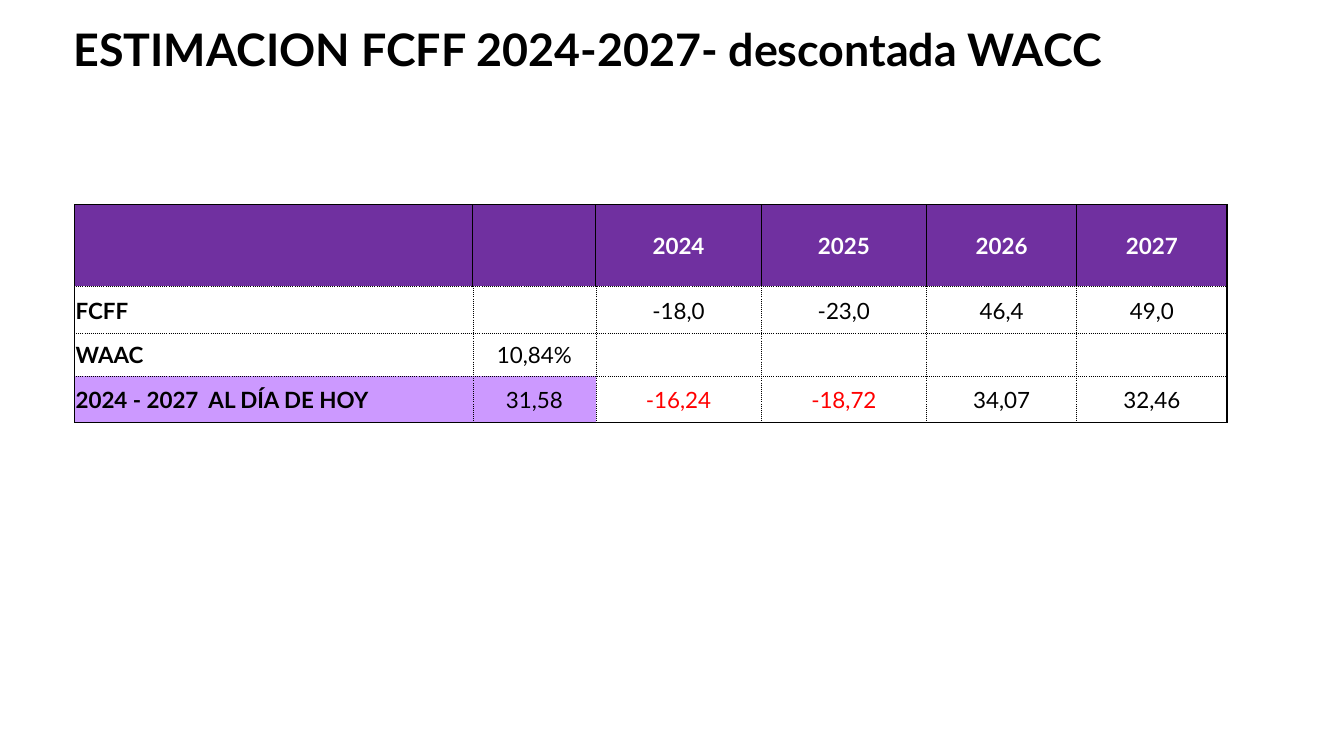
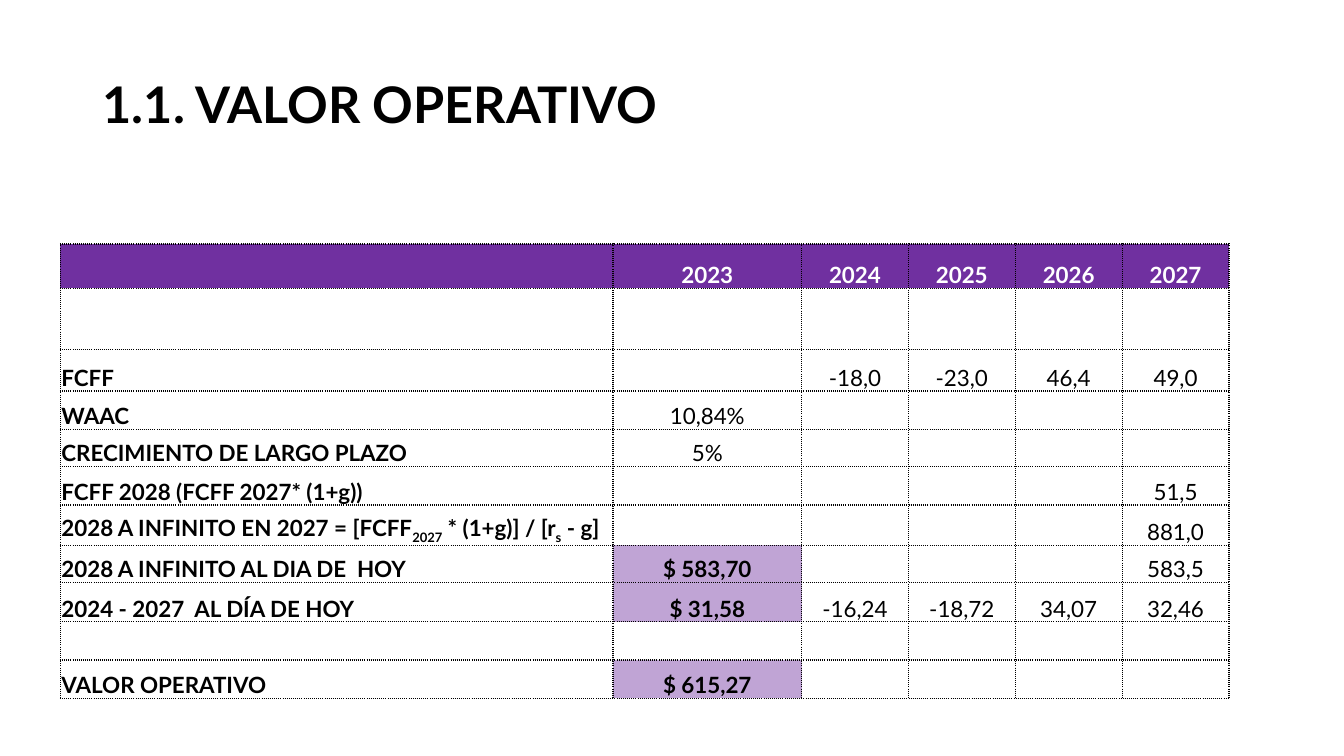
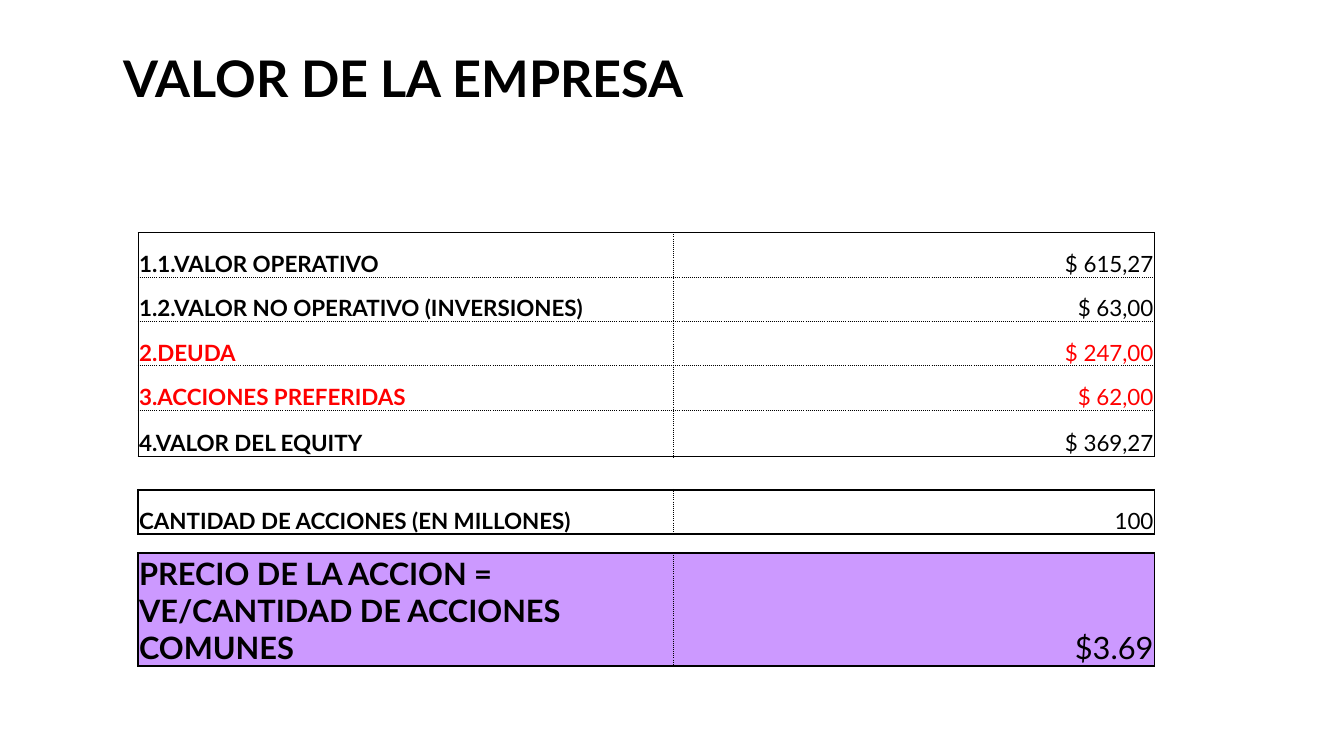
from dataclasses import dataclass, field

import lxml.etree
import pptx
import pptx.dml.color
import pptx.enum.text
import pptx.oxml.ns
import pptx.table
import pptx.text.text
import pptx.util
from pptx.util import Inches

RGBColor = pptx.dml.color.RGBColor
Align = pptx.enum.text.PP_ALIGN
Anchor = pptx.enum.text.MSO_ANCHOR
qn = pptx.oxml.ns.qn

FONT = "Lato"
BLACK = RGBColor(0x00, 0x00, 0x00)
WHITE = RGBColor(0xFF, 0xFF, 0xFF)
RED = RGBColor(0xFF, 0x00, 0x00)
PURPLE = RGBColor(0x70, 0x30, 0xA0)
PALE_PURPLE = RGBColor(0xC0, 0xA4, 0xD5)
LILAC = RGBColor(0xCC, 0x99, 0xFF)
BOLD_FILLS = (PURPLE, PALE_PURPLE)


@dataclass(frozen=True)
class Line:
    width: float
    dash: str = "solid"


THIN = Line(1)
THICK = Line(1.5)
DOTTED = Line(0.5, "dot")
FINE_DOTTED = Line(1, "sysDot")


@dataclass(frozen=True)
class Title:
    text: str
    left: float
    top: float
    height: float
    size: float = 36


@dataclass(frozen=True)
class Grid:
    """A table; fills and inks are keyed by (row, column)."""
    left: float
    top: float
    cols: tuple[float, ...]
    heights: tuple[float, ...]
    rows: tuple[tuple[str, ...], ...]
    outline: Line
    inner: Line = DOTTED
    header: bool = False
    anchor: Anchor = Anchor.BOTTOM
    align: Align = Align.CENTER
    size: float = 16
    fills: dict[tuple[int, int], RGBColor] = field(default_factory=dict)
    inks: dict[tuple[int, int], RGBColor] = field(default_factory=dict)


@dataclass(frozen=True)
class Page:
    title: Title
    grids: tuple[Grid, ...]


def write(tf: pptx.text.text.TextFrame, text: str, *, size: float, bold: bool = False,
          colour: RGBColor = BLACK, align: Align = Align.LEFT,
          spacing: float = 1.0) -> None:
    """Write one paragraph per line; text between underscores is subscript."""
    for i, line in enumerate(text.split("\n")):
        p = tf.paragraphs[0] if i == 0 else tf.add_paragraph()
        p.alignment = align
        p.line_spacing = spacing
        for j, piece in enumerate(line.split("_")):
            r = p.add_run()
            r.text = piece
            r.font.name = FONT
            r.font.size = pptx.util.Pt(size)
            r.font.bold = bold
            r.font.color.rgb = colour
            if j % 2:
                r._r.get_or_add_rPr().set("baseline", "-25000")


def add_title(s: pptx.slide.Slide, title: Title) -> None:
    sp = s.shapes.add_textbox(Inches(title.left), Inches(title.top),
                              Inches(11.5), Inches(title.height))
    tf = sp.text_frame
    tf.word_wrap = True
    tf.vertical_anchor = Anchor.MIDDLE
    write(tf, title.text, size=title.size, bold=True, spacing=0.9)


def set_border(cell: pptx.table._Cell, side: str, line: Line) -> None:
    ln = lxml.etree.SubElement(cell._tc.get_or_add_tcPr(), qn(f"a:ln{side}"),
                               w=str(pptx.util.Pt(line.width)))
    fill = lxml.etree.SubElement(ln, qn("a:solidFill"))
    lxml.etree.SubElement(fill, qn("a:srgbClr"), val=str(BLACK))
    lxml.etree.SubElement(ln, qn("a:prstDash"), val=line.dash)


def add_grid(s: pptx.slide.Slide, grid: Grid) -> None:
    n_rows, n_cols = len(grid.heights), len(grid.cols)
    table = s.shapes.add_table(n_rows, n_cols, Inches(grid.left), Inches(grid.top),
                               Inches(sum(grid.cols)), Inches(sum(grid.heights))).table
    table.first_row = table.horz_banding = False
    for column, width in zip(table.columns, grid.cols):
        column.width = Inches(width)
    for row, height in zip(table.rows, grid.heights):
        row.height = Inches(height)

    for r, texts in enumerate(grid.rows):
        for c, text in enumerate(texts):
            cell = table.cell(r, c)
            is_header = grid.header and r == 0
            on_edge = {"L": c == 0, "R": c == n_cols - 1,
                       "T": r == 0, "B": r == n_rows - 1}
            for side, edge in on_edge.items():
                solid = edge or (is_header and side in "LR")
                set_border(cell, side, grid.outline if solid else grid.inner)

            fill = PURPLE if is_header else grid.fills.get((r, c), WHITE)
            cell.fill.solid()
            cell.fill.fore_color.rgb = fill
            cell.margin_left = cell.margin_right = cell.margin_top = Inches(0.01)
            cell.margin_bottom = 0
            cell.vertical_anchor = grid.anchor
            write(cell.text_frame, text, size=grid.size,
                  bold=c == 0 or fill in BOLD_FILLS,
                  colour=WHITE if is_header else grid.inks.get((r, c), BLACK),
                  align=Align.LEFT if c == 0 else grid.align)


YEARS = ("2024", "2025", "2026", "2027")
FLOWS = ("-18,0", "-23,0", "46,4", "49,0")
DISCOUNTED = ("-16,24", "-18,72", "34,07", "32,46")
TO_TODAY = "2024 - 2027  AL DÍA DE HOY"
BLANKS = ("",) * 4
EQUITY = dict(left=1.37, cols=(5.31, 4.77), align=Align.RIGHT)

PAGES = (
    Page(
        Title("ESTIMACION FCFF 2024-2027- descontada WACC", 0.63, 0.24, 0.56, 32),
        (Grid(
            left=0.74, top=2.03, outline=THIN, header=True, anchor=Anchor.MIDDLE,
            cols=(3.95, 1.22, 1.64, 1.64, 1.49, 1.49),
            heights=(0.81, 0.47, 0.42, 0.46),
            rows=(("", "", *YEARS),
                  ("FCFF", "", *FLOWS),
                  ("WAAC", "10,84%", *BLANKS),
                  (TO_TODAY, "31,58", *DISCOUNTED)),
            fills={(3, c): LILAC for c in (0, 1)},
            inks={(3, c): RED for c in (2, 3)}),),
    ),
    Page(
        Title("1.1. VALOR OPERATIVO", 0.92, 0.34, 1.45),
        (Grid(
            left=0.6, top=2.42, outline=FINE_DOTTED, inner=FINE_DOTTED, header=True,
            cols=(5.48, 1.87) + (1.06,) * 4,
            heights=(0.44, 0.61, 0.41, 0.38, 0.37, 0.38, 0.4, 0.37, 0.39, 0.38, 0.38),
            rows=(("", "2023", *YEARS),
                  ("", "", *BLANKS),
                  ("FCFF", "", *FLOWS),
                  ("WAAC", "10,84%", *BLANKS),
                  ("CRECIMIENTO DE LARGO PLAZO", "5%", *BLANKS),
                  ("FCFF 2028 (FCFF 2027* (1+g))", "", "", "", "", "51,5"),
                  ("2028 A INFINITO EN 2027 = [FCFF_2027_ * (1+g)] / [r_s_ - g]",
                   "", "", "", "", "881,0"),
                  ("2028 A INFINITO AL DIA DE  HOY", "$ 583,70", "", "", "", "583,5"),
                  (TO_TODAY, "$ 31,58", *DISCOUNTED),
                  ("", "", *BLANKS),
                  ("VALOR OPERATIVO", "$ 615,27", *BLANKS)),
            fills={(r, 1): PALE_PURPLE for r in (7, 8, 10)}),),
    ),
    Page(
        Title("VALOR DE LA EMPRESA", 1.13, 0.46, 0.7),
        (Grid(
            **EQUITY, top=2.31, outline=THIN, heights=(0.44,) * 4 + (0.46,),
            rows=(("1.1.VALOR OPERATIVO", "$ 615,27"),
                  ("1.2.VALOR NO OPERATIVO (INVERSIONES)", "$ 63,00"),
                  ("2.DEUDA", "$ 247,00"),
                  ("3.ACCIONES PREFERIDAS", "$ 62,00"),
                  ("4.VALOR DEL EQUITY", "$ 369,27")),
            inks={(r, c): RED for r in (2, 3) for c in (0, 1)}),
         Grid(
            **EQUITY, top=4.86, outline=THICK, heights=(0.44,),
            rows=(("CANTIDAD DE ACCIONES (EN MILLONES)", "100"),)),
         Grid(
            **EQUITY, top=5.49, outline=THICK, heights=(1.12,), size=22,
            rows=(("PRECIO DE LA ACCION =\nVE/CANTIDAD DE ACCIONES COMUNES", "$3.69"),),
            fills={(0, c): LILAC for c in (0, 1)})),
    ),
)


def main() -> None:
    prs = pptx.Presentation()
    prs.slide_width, prs.slide_height = Inches(13.33), Inches(7.5)
    for page in PAGES:
        s = prs.slides.add_slide(prs.slide_layouts[6])
        add_title(s, page.title)
        for grid in page.grids:
            add_grid(s, grid)
    prs.save("out.pptx")


if __name__ == "__main__":
    main()
